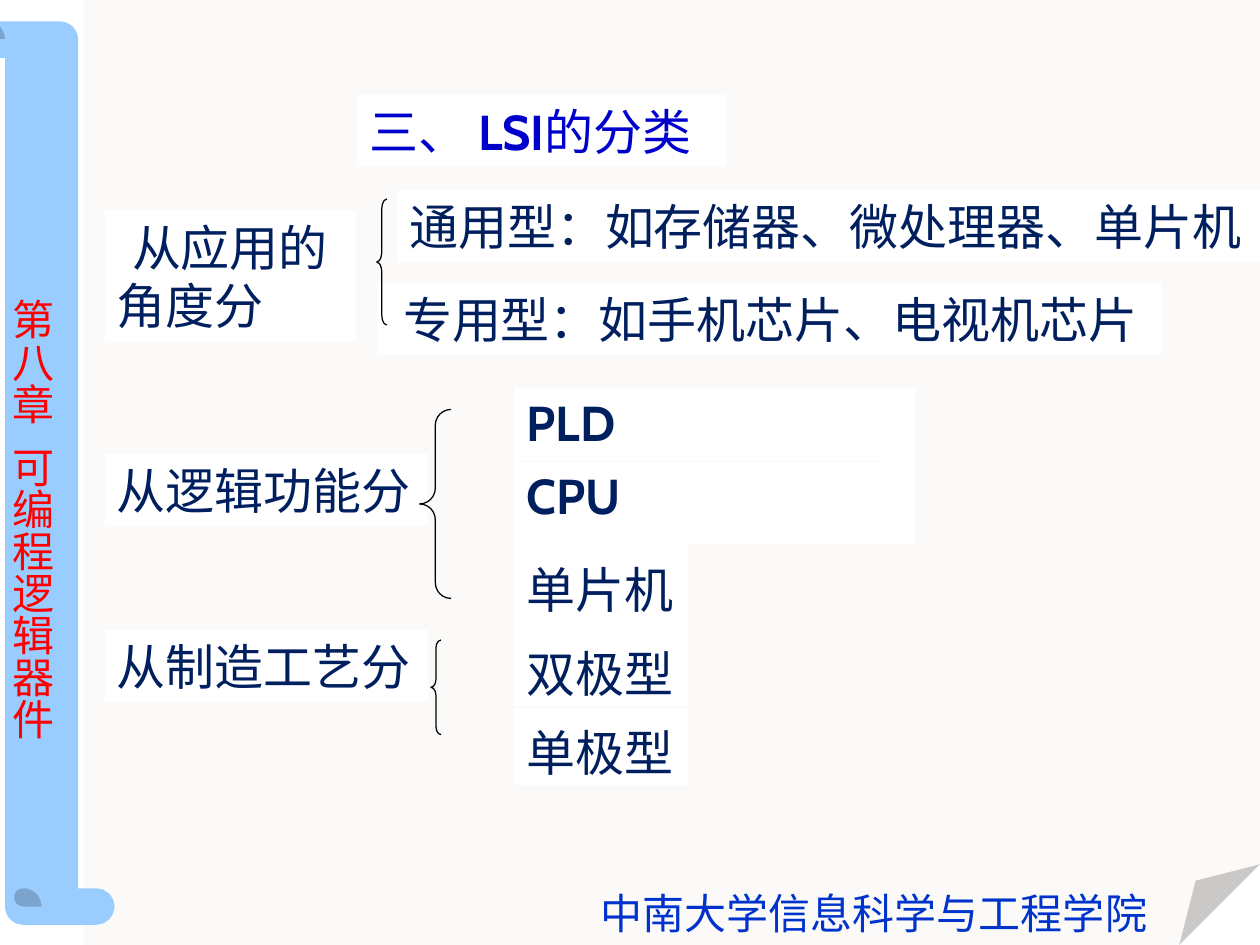
from dataclasses import dataclass
from math import cos, radians, sin

from lxml import etree
from pptx import Presentation
from pptx import util as u
from pptx.dml.color import RGBColor
from pptx.enum import shapes, text
from pptx.oxml import ns


@dataclass(frozen=True)
class Theme:
    paper: str = "FBFAF9"
    fold: str = "CAC9C8"
    scroll: str = "99CCFF"
    curl: str = "7AA3CD"
    white: str = "FFFFFF"
    black: str = "000000"
    body: str = "001F5F"
    title: str = "0000CC"
    chapter: str = "FF0000"
    school: str = "0033CC"
    han: str = "Noto Sans CJK SC"
    latin: str = "Cabin"
    large: int = 28
    small: int = 24


THEME = Theme()
WIDTH, HEIGHT = 10, 7.5
ROW = 0.57      # height of a one-line label
MARGIN = 0.1    # usual text inset

# Content: boxes are left, top, width, height in inches
TITLE_RUNS = [("三、 ", False), ("LSI", True), ("的分类", False)]
TITLE_BOX = (2.83, 0.75, 2.93, ROW)
CHAPTER = ["第 八 章", "可 编 程 逻 辑 器 件"]
SCHOOL = "中南大学信息科学与工程学院"
LABELS = [  # text, box, left inset, first-line indent
    ("从应用的 角度分", (0.83, 1.67, 2, 1.04), MARGIN, 0.12),
    ("专用型：如手机芯片、电视机芯片", (2.99, 2.25, 6.23, ROW), 0.21, 0),
    ("通用型：如存储器、微处理器、单片机", (3.15, 1.51, 6.85, ROW), MARGIN, 0),
    ("从逻辑功能分", (0.83, 3.6, 2.57, ROW), MARGIN, 0),
    ("从制造工艺分", (0.83, 5, 2.57, ROW), MARGIN, 0),
]
BRACES = [(2.99, 1.58, 0.08, 1), (3.33, 3.25, 0.25, 1.5), (3.42, 5.08, 0.08, 0.75)]
TABLE_BOX = (4.08, 3.08, 3.08, 3.07)
COLUMNS = [1.38, 1.56, 0.14]
TABLE_ROWS = [  # text, height, top inset, bold Latin
    ("PLD", 0.58, 0.05, True),
    ("CPU", 0.62, 0.05, True),
    ("单片机", 0.69, 0.1, False),
    ("双极型", 0.6, 0.08, False),
    ("单极型", 0.58, 0.06, False),
]
MERGES = [(0, 0, 0, 1), (1, 0, 1, 1), (0, 2, 1, 2), (2, 1, 4, 2)]
THIN, THICK = (THEME.paper, 0.75), (THEME.white, 6.72)
RULES = [THIN, THICK, THICK, THIN]  # between neighbouring rows
NO_STYLE = "{2D5ABB26-0587-4C30-8999-92F81FD0307C}"


def inches(box):
    return [u.Inches(value) for value in box]


def format_run(run, color, size, bold=False):
    font = run.font
    font.size, font.bold = u.Pt(size), bold
    font.color.rgb = RGBColor.from_string(color)
    font.name = THEME.latin if bold else THEME.han
    east_asian = etree.SubElement(run._r.get_or_add_rPr(), ns.qn("a:ea"))
    east_asian.set("typeface", THEME.han)


def format_frame(frame, color, size, left=0, top=0, anchor=text.MSO_ANCHOR.TOP):
    frame.word_wrap = True
    frame.auto_size = text.MSO_AUTO_SIZE.NONE
    frame.vertical_anchor = anchor
    frame.margin_left, frame.margin_top = u.Inches(left), u.Inches(top)
    frame.margin_right = frame.margin_bottom = 0
    for paragraph in frame.paragraphs:
        paragraph.alignment = text.PP_ALIGN.LEFT
        for run in paragraph.runs:
            format_run(run, color, size)


def paint(shape, color):
    shape.shadow.inherit = False
    shape.fill.solid()
    shape.fill.fore_color.rgb = RGBColor.from_string(color)
    shape.line.fill.background()


def add_outline(slide, points, color):
    points = [inches(point) for point in points]
    builder = slide.shapes.build_freeform(*points[0])
    builder.add_line_segments(points[1:], close=True)
    paint(builder.convert_to_shape(), color)


def arc(x, y, radius, start, end, steps=8):
    angles = [radians(start + (end - start) * i / steps) for i in range(steps + 1)]
    return [(x + radius * cos(a), y + radius * sin(a)) for a in angles]


def add_backdrop(slide):
    # Page with a folded corner
    fold = 0.64
    x, y = WIDTH - fold, HEIGHT - fold
    add_outline(slide, [(WIDTH, 0), (0.67, 0), (0.67, HEIGHT), (x, HEIGHT), (WIDTH, y)], THEME.paper)
    add_outline(slide, [(WIDTH, y), (x + 0.13, y + 0.13), (x, HEIGHT)], THEME.fold)
    # Scroll along the left edge
    r, foot = 0.145, 7.195
    body = [(0, 0.17), *arc(0.475, 0.315, r, -90, 0), (0.62, foot - r),
            *arc(0.765, foot, r, -90, 90), *arc(0.185, foot, r, 90, 180),
            (0.04, 0.46), (0, 0.46)]
    add_outline(slide, body, THEME.scroll)
    curl = [*arc(0.185, foot, r, 0, -90), *arc(0.185, foot - r / 2, r / 2, 270, 90)]
    add_outline(slide, curl, THEME.curl)
    add_outline(slide, [(0, 0.21), (0.03, 0.26), (0.04, 0.31), (0, 0.31)], THEME.curl)


def add_text(slide, box, lines, color, spacing, top=0, gap=0):
    frame = slide.shapes.add_textbox(*inches(box)).text_frame
    frame.text = "\n".join(lines)
    format_frame(frame, color, THEME.small, top=top)
    for index, paragraph in enumerate(frame.paragraphs):
        paragraph.line_spacing = u.Pt(spacing)
        paragraph.space_before = u.Pt(gap if index else 0)


def add_label(slide, words, box, left, indent):
    shape = slide.shapes.add_shape(shapes.MSO_SHAPE.RECTANGLE, *inches(box))
    paint(shape, THEME.white)
    shape.text_frame.text = words
    format_frame(shape.text_frame, THEME.body, THEME.large, left, anchor=text.MSO_ANCHOR.MIDDLE)
    if indent:
        properties = shape.text_frame.paragraphs[0]._p.get_or_add_pPr()
        properties.set("indent", str(u.Inches(indent)))


def add_brace(slide, box):
    shape = slide.shapes.add_shape(shapes.MSO_SHAPE.LEFT_BRACE, *inches(box))
    shape.adjustments[0] = box[3] / 12 / box[2]
    shape.shadow.inherit = False
    shape.fill.background()
    shape.line.color.rgb = RGBColor.from_string(THEME.black)
    shape.line.width = u.Pt(0.72)


def set_border(cell, edge, color, width):
    line = etree.Element(ns.qn("a:" + edge), w=str(u.Pt(width)))
    fill = etree.SubElement(line, ns.qn("a:solidFill"))
    etree.SubElement(fill, ns.qn("a:srgbClr"), val=color)
    properties = cell._tc.get_or_add_tcPr()
    properties.insert(len(properties.findall(ns.qn("a:lnT"))), line)


def add_kinds_table(slide):
    table = slide.shapes.add_table(len(TABLE_ROWS), len(COLUMNS), *inches(TABLE_BOX)).table
    table.first_row = table.horz_banding = False
    table._tbl.tblPr.find(ns.qn("a:tableStyleId")).text = NO_STYLE
    for column, width in zip(table.columns, COLUMNS):
        column.width = u.Inches(width)
    for r1, c1, r2, c2 in MERGES:
        table.cell(r1, c1).merge(table.cell(r2, c2))
    for r, (words, height, top, bold) in enumerate(TABLE_ROWS):
        table.rows[r].height = u.Inches(height)
        for c in range(len(COLUMNS)):
            cell = table.cell(r, c)
            if c == 0 or r < 2:
                cell.fill.solid()
                cell.fill.fore_color.rgb = RGBColor.from_string(THEME.white)
            else:
                cell.fill.background()
        cell = table.cell(r, 0)
        cell.margin_left, cell.margin_top = u.Inches(MARGIN), u.Inches(top)
        cell.margin_right = cell.margin_bottom = 0
        cell.text_frame.text = words
        format_run(cell.text_frame.paragraphs[0].runs[0], THEME.body, THEME.large, bold)
        if r > 0:
            set_border(cell, "lnT", *RULES[r - 1])
        if r < len(RULES):
            set_border(cell, "lnB", *RULES[r])


def set_title(slide):
    title = slide.shapes.title
    title.left, title.top, title.width, title.height = inches(TITLE_BOX)
    title.fill.solid()
    title.fill.fore_color.rgb = RGBColor.from_string(THEME.white)
    paragraph = title.text_frame.paragraphs[0]
    format_frame(title.text_frame, THEME.title, THEME.large, MARGIN, anchor=text.MSO_ANCHOR.MIDDLE)
    for words, bold in TITLE_RUNS:
        run = paragraph.add_run()
        run.text = words
        format_run(run, THEME.title, THEME.large, bold)
    # Bring the title in front of the backdrop
    title._element.getparent().append(title._element)


def main():
    presentation = Presentation()
    presentation.slide_width, presentation.slide_height = inches((WIDTH, HEIGHT))
    slide = presentation.slides.add_slide(presentation.slide_layouts[5])
    add_backdrop(slide)
    add_text(slide, (0.1, 2.32, 0.36, 3.6), CHAPTER, THEME.chapter, 24, top=0.08, gap=12)
    for label in LABELS:
        add_label(slide, *label)
    for brace in BRACES:
        add_brace(slide, brace)
    set_title(slide)
    add_text(slide, (4.77, 7.08, 4.36, 0.36), [SCHOOL], THEME.school, 26)
    add_kinds_table(slide)
    presentation.save("out.pptx")


if __name__ == "__main__":
    main()
